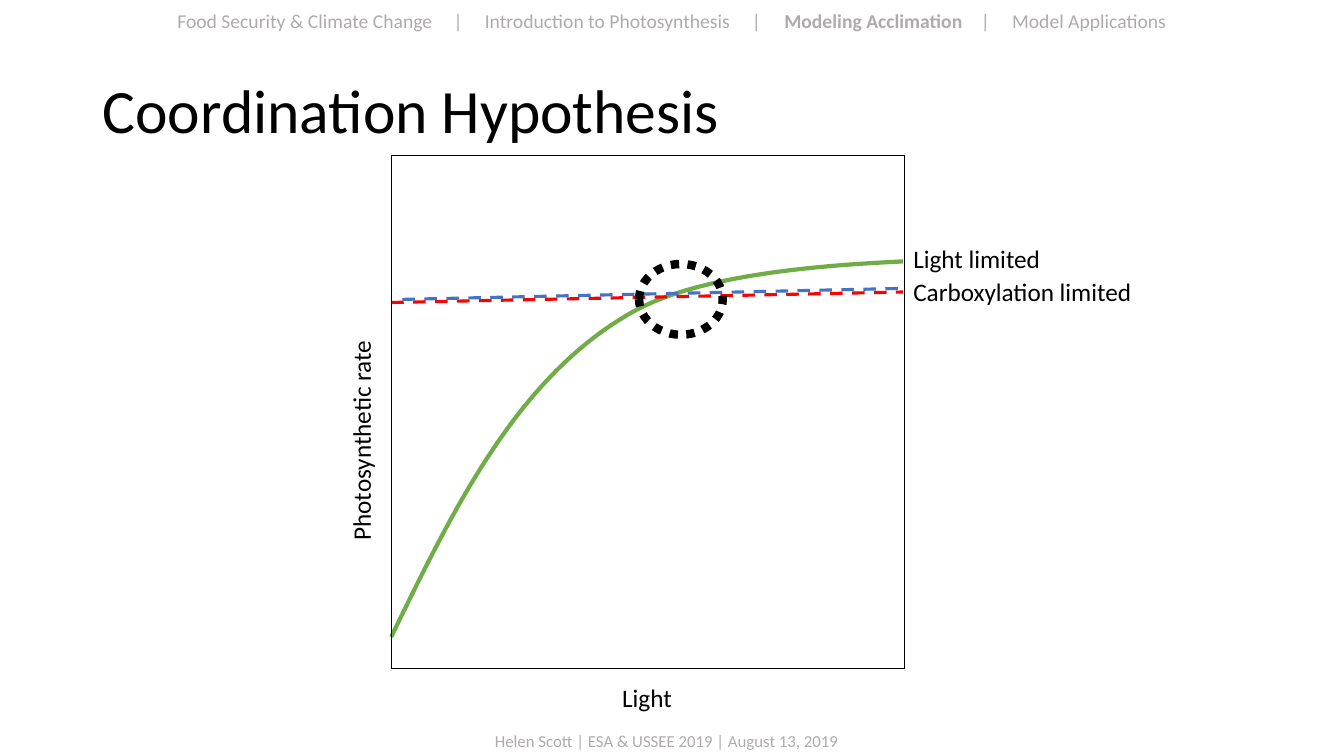
from lxml import etree
from pptx import Presentation
from pptx.dml.color import RGBColor
from pptx.enum.dml import MSO_LINE
from pptx.enum.shapes import MSO_CONNECTOR, MSO_SHAPE
from pptx.enum.text import MSO_ANCHOR, PP_ALIGN
from pptx.oxml.ns import qn
from pptx.util import Inches, Pt

FONT = "Calibri"
BLACK = RGBColor(0x00, 0x00, 0x00)
WHITE = RGBColor(0xFF, 0xFF, 0xFF)
GREY = RGBColor(0xAF, 0xAB, 0xAB)
GREEN = RGBColor(0x70, 0xAD, 0x47)
RED = RGBColor(0xFF, 0x00, 0x00)
BLUE = RGBColor(0x44, 0x72, 0xC4)

# The plot is a square grid of 100 columns by 100 rows
GRID = 100
LABEL_H = 7.9
RIGHT = 99.8
LIGHT_CURVE = [
    [(0, 93.9), (12.4, 68.4), (24.8, 42.8), (47.5, 30.3)],
    [(47.5, 30.3), (70.3, 17.9), (125.1, 21.2), (137.1, 19.4)],
]
CURVE_STEPS = 40


def add_text(s, box, text, size, color=BLACK, align=PP_ALIGN.LEFT):
    tf = s.shapes.add_textbox(*map(Inches, box)).text_frame
    tf.word_wrap = True
    p = tf.paragraphs[0]
    p.text = text
    p.alignment = align
    style_runs(p, size, color)
    return tf


def style_runs(p, size, color):
    for r in p.runs:
        r.font.name = FONT
        r.font.size = Pt(size)
        r.font.color.rgb = color


def add_shape(s, kind, box, line_color, width, fill=None):
    sp = s.shapes.add_shape(kind, *map(Inches, box))
    style_outline(sp, line_color, width, fill)
    return sp


def style_outline(sp, color, width, fill=None):
    sp.shadow.inherit = False
    if fill is None:
        sp.fill.background()
    else:
        sp.fill.solid()
        sp.fill.fore_color.rgb = fill
    sp.line.color.rgb = color
    sp.line.width = Pt(width)


def add_dashed_line(s, start, end, color):
    line = s.shapes.add_connector(MSO_CONNECTOR.STRAIGHT, *map(Inches, start + end))
    line.line.color.rgb = color
    line.line.width = Pt(2.25)
    line.line.dash_style = MSO_LINE.DASH
    etree.SubElement(line._element.spPr, qn("a:effectLst"))


def bezier(points, t):
    weights = ((1 - t) ** 3, 3 * t * (1 - t) ** 2, 3 * t * t * (1 - t), t ** 3)
    return tuple(sum(w * pt[axis] for w, pt in zip(weights, points)) for axis in (0, 1))


def add_navigation(s, box):
    sections = ["Food Security & Climate Change", "Introduction to Photosynthesis",
                "Modeling Acclimation", "Model Applications"]
    p = add_text(s, box, "", 14).paragraphs[0]
    # Tab stops for each bar and the section after it
    tabs = etree.SubElement(p._p.get_or_add_pPr(), qn("a:tabLst"))
    for stop in (2.74, 3.05, 5.7, 6.02, 7.97, 8.28):
        etree.SubElement(tabs, qn("a:tab"), pos=str(Inches(stop)), algn="l")
    for i, section in enumerate(sections):
        if i:
            p.add_run().text = "\t|\t"
        r = p.add_run()
        r.text = section
        r.font.bold = section == "Modeling Acclimation"
    style_runs(p, 14, GREY)


def add_title(s, box):
    tf = add_text(s, box, "Coordination Hypothesis", 44)
    tf.vertical_anchor = MSO_ANCHOR.MIDDLE
    tf.paragraphs[0].line_spacing = 0.9


def add_plot(s, box):
    left, top, side, _ = box
    unit = side / GRID

    def at(col, row):
        return left + col * unit, top + row * unit

    def cells(col, row, cols, rows):
        return at(col, row) + (cols * unit, rows * unit)

    def mask(row, cols, rows):
        add_shape(s, MSO_SHAPE.RECTANGLE, cells(RIGHT, row, cols, rows), WHITE, 1, WHITE)

    def series_label(row, text):
        add_text(s, cells(RIGHT, row, 62.5, LABEL_H), text, 18)

    # Axis names
    add_text(s, cells(40.7, 101.8, 18.3, LABEL_H), "Light", 18, align=PP_ALIGN.CENTER)
    add_text(s, cells(-28.9, 50.1, 46, LABEL_H), "Photosynthetic rate", 18)
    s.shapes[-1].rotation = 270

    # Light limited curve, trimmed at the right edge
    points = [tuple(map(Inches, at(*bezier(part, i / CURVE_STEPS))))
              for part in LIGHT_CURVE for i in range(CURVE_STEPS + 1)]
    builder = s.shapes.build_freeform(*points[0])
    builder.add_line_segments(points[1:], close=False)
    style_outline(builder.convert_to_shape(), GREEN, 3)
    mask(18.7, 40.1, 3.5)
    series_label(16.2, "Light limited")

    # Carboxylation limited lines, and the crossing ring
    add_dashed_line(s, at(0, 28.7), at(107.7, 26.5), RED)
    add_dashed_line(s, at(2.2, 28.1), at(102, 25.9), BLUE)
    ring = add_shape(s, MSO_SHAPE.OVAL, cells(48.3, 21.2, 16.3, 13.8), BLACK, 6)
    ring.line.dash_style = MSO_LINE.ROUND_DOT
    mask(25, 10.8, 2.9)

    # Frame
    add_shape(s, MSO_SHAPE.RECTANGLE, box, BLACK, 1)
    series_label(22.7, "Carboxylation limited")


def add_footer(s, box):
    add_text(s, box, "Helen Scott | ESA & USSEE 2019 | August 13, 2019", 12, GREY)


def main():
    prs = Presentation()
    prs.slide_width, prs.slide_height = Inches(13.33), Inches(7.5)
    s = prs.slides.add_slide(prs.slide_layouts[6])
    add_title(s, (0.92, 0.4, 11.5, 1.45))
    add_plot(s, (3.88, 1.54, 5.09, 5.09))
    add_navigation(s, (1.66, 0.04, 10.38, 0.34))
    add_footer(s, (4.81, 7.2, 3.72, 0.3))
    prs.save("out.pptx")


if __name__ == "__main__":
    main()
